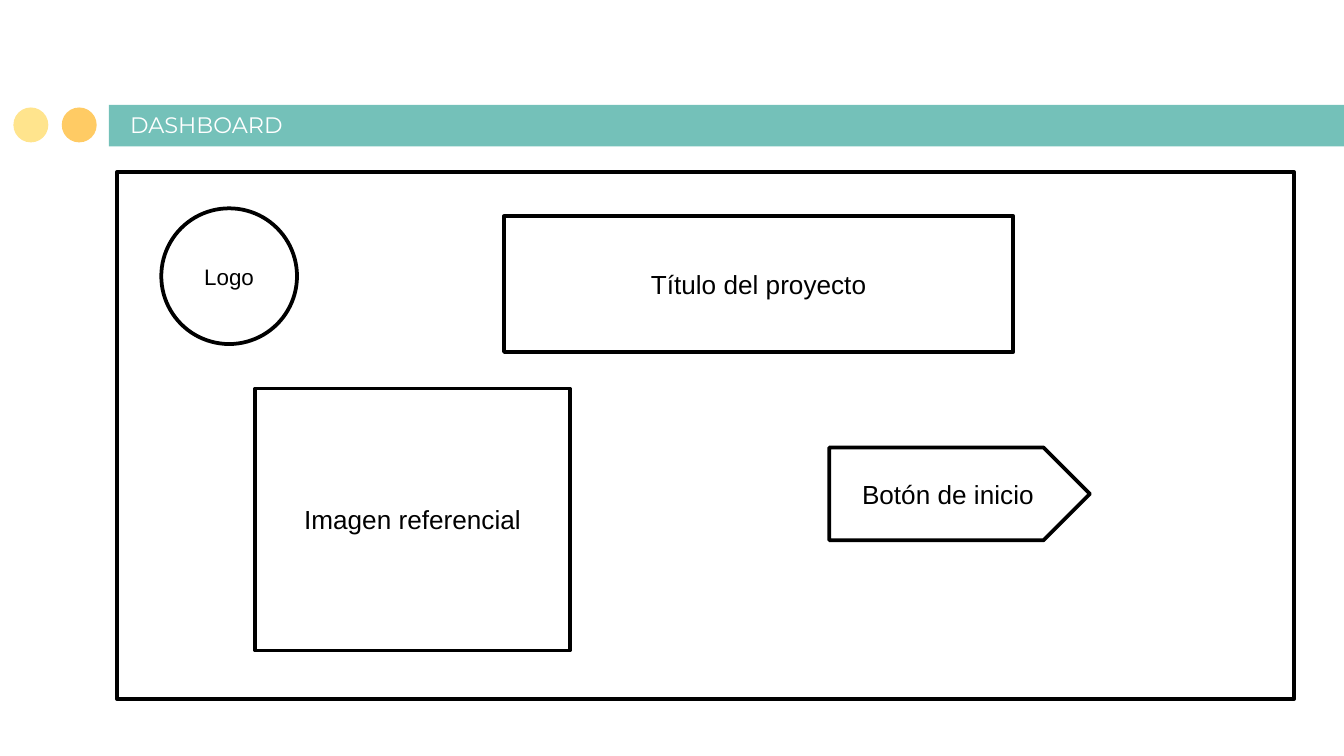
from pptx import Presentation
from pptx.dml.color import RGBColor
from pptx.enum.shapes import MSO_SHAPE
from pptx.enum.text import MSO_ANCHOR, PP_ALIGN
from pptx.oxml.ns import qn
from pptx.util import Inches, Pt

RECT = MSO_SHAPE.RECTANGLE
OVAL = MSO_SHAPE.OVAL
PENTAGON = MSO_SHAPE.PENTAGON
MIDDLE = MSO_ANCHOR.MIDDLE
BOTTOM = MSO_ANCHOR.BOTTOM
CENTER = PP_ALIGN.CENTER

BLACK = "000000"
WHITE = "FFFFFF"
TEAL = "74C1B9"
ORANGE = "FFCB64"
YELLOW = "FFE48D"


def color(hex_value):
    return RGBColor.from_string(hex_value)


def add_base(slide, kind, left, top, width, height):
    shape = slide.shapes.add_shape(
        kind, Inches(left), Inches(top), Inches(width), Inches(height))
    shape.shadow.inherit = False
    return shape


def add_filled(slide, kind, left, top, width, height, fill):
    shape = add_base(slide, kind, left, top, width, height)
    shape.fill.solid()
    shape.fill.fore_color.rgb = color(fill)
    shape.line.fill.background()


def write(paragraph, text, size, font, hex_value):
    run = paragraph.add_run()
    run.text = text
    run.font.size = Pt(size)
    run.font.name = font
    run.font.color.rgb = color(hex_value)


def add_outlined(slide, kind, left, top, width, height, label="", size=14):
    shape = add_base(slide, kind, left, top, width, height)
    shape.fill.background()
    shape.line.color.rgb = color(BLACK)
    shape.line.width = Pt(2)
    # Rounded corners on the outline
    outline = shape.element.spPr.find(qn("a:ln"))
    outline.append(outline.makeelement(qn("a:round"), {}))
    if label:
        frame = shape.text_frame
        frame.word_wrap = True
        frame.vertical_anchor = MIDDLE
        paragraph = frame.paragraphs[0]
        paragraph.alignment = CENTER
        write(paragraph, label, size, "Arial", BLACK)


def add_heading(slide, text, left, top, width, height):
    box = slide.shapes.add_textbox(
        Inches(left), Inches(top), Inches(width), Inches(height))
    frame = box.text_frame
    frame.word_wrap = True
    frame.vertical_anchor = BOTTOM
    frame.margin_left = frame.margin_right = Inches(0.1)
    frame.margin_top = frame.margin_bottom = Inches(0.1)
    write(frame.paragraphs[0], text, 12, "Montserrat", WHITE)


def main():
    # Widescreen page, 16:9
    prs = Presentation()
    prs.slide_width = Inches(10)
    prs.slide_height = Inches(10 * 9 / 16)
    slide = prs.slides.add_slide(prs.slide_layouts[6])

    # Heading band with its two dots
    add_filled(slide, RECT, 0.81, 0.78, 9.5, 0.31, TEAL)
    for left, fill in ((0.46, ORANGE), (0.1, YELLOW)):
        add_filled(slide, OVAL, left, 0.8, 0.26, 0.26, fill)
    add_heading(slide, "DASHBOARD", 0.87, 0.79, 5.48, 0.34)

    # Wireframe: screen frame and its parts
    add_outlined(slide, RECT, 0.87, 1.28, 8.76, 3.92)
    add_outlined(slide, OVAL, 1.2, 1.55, 1.01, 1.01, "Logo", 12)
    add_outlined(slide, RECT, 3.75, 1.61, 3.79, 1.01, "Título del proyecto")
    add_outlined(slide, RECT, 1.9, 2.89, 2.34, 1.95, "Imagen referencial")
    add_outlined(slide, PENTAGON, 6.17, 3.33, 1.94, 0.69, "Botón de inicio")

    prs.save("out.pptx")


if __name__ == "__main__":
    main()
